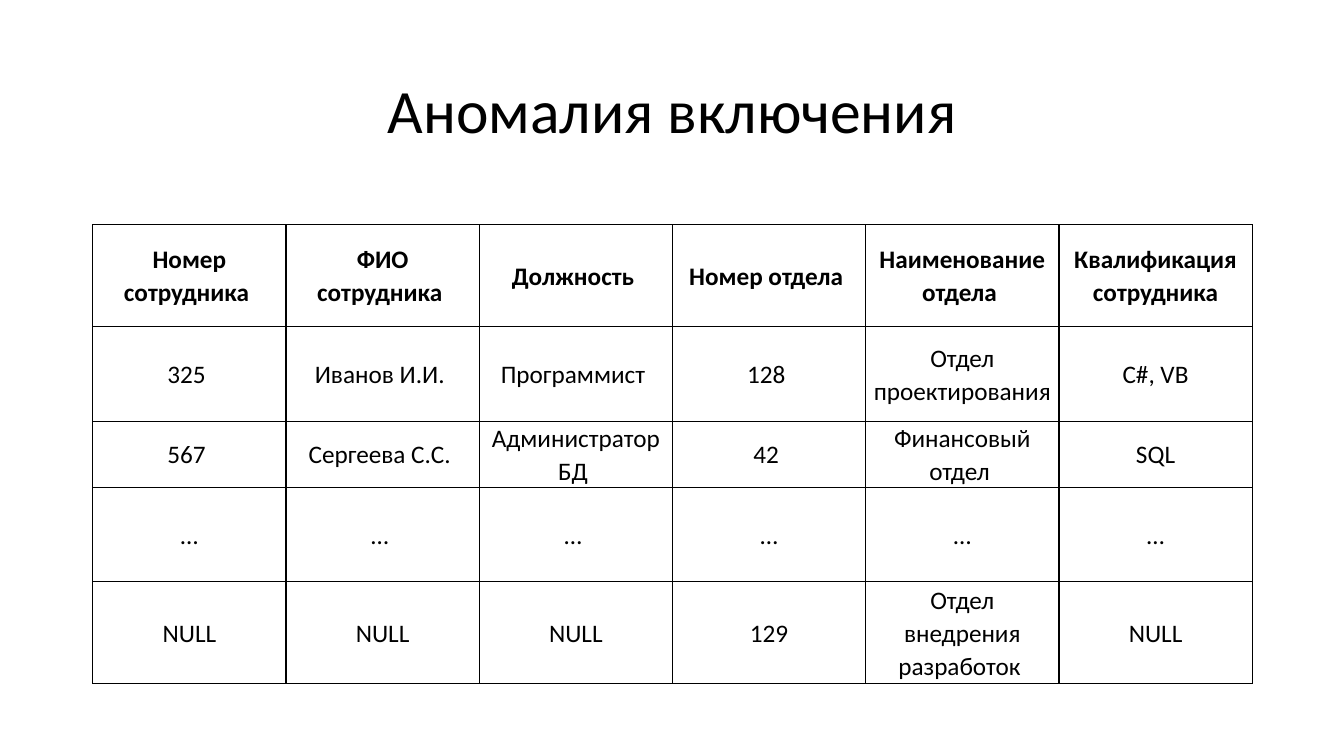
from lxml import etree
from pptx import Presentation
from pptx import util as u
from pptx.dml.color import RGBColor
from pptx.enum import text
from pptx.oxml import ns

COLORS = {"ink": "000000", "paper": "FFFFFF"}
FONT = "Calibri"

HEADERS = ["Номер сотрудника ", "ФИО сотрудника ", "Должность ",
           "Номер отдела ", "Наименование отдела ", "Квалификация сотрудника"]
EMPLOYEES = [
    ["325 ", "Иванов И.И. ", "Программист ", "128 ", "Отдел проектирования ", "C#, VB"],
    ["567 ", "Сергеева С.С. ", "Администратор БД ", "42 ", "Финансовый отдел ", "SQL"],
    ["…", "… ", "… ", "…", "…", "…"],
    ["NULL", "NULL", "NULL", "129", "Отдел внедрения разработок ", "NULL"],
]
ROW_HEIGHTS = [1.01, 0.94, 0.62, 0.94, 1.01]


def write_centered(frame, words, size, spacing, bold=False):
    para = frame.paragraphs[0]
    para.alignment = text.PP_ALIGN.CENTER
    para.line_spacing = spacing
    span = para.add_run()
    span.text = words
    span.font.name = FONT
    span.font.size = u.Pt(size)
    span.font.bold = bold
    span.font.color.rgb = RGBColor.from_string(COLORS["ink"])
    return para


def add_borders(cell):
    properties = cell._tc.get_or_add_tcPr()
    for side in ("lnL", "lnR", "lnT", "lnB"):
        line = etree.SubElement(properties, ns.qn("a:" + side), w=str(u.Pt(1)))
        fill = etree.SubElement(line, ns.qn("a:solidFill"))
        etree.SubElement(fill, ns.qn("a:srgbClr"), val=COLORS["ink"])


def format_cell(cell, words, bold):
    cell.vertical_anchor = text.MSO_ANCHOR.MIDDLE
    cell.margin_left = cell.margin_right = u.Inches(0.07)
    cell.margin_top = cell.margin_bottom = 0
    para = write_centered(cell.text_frame, words, 18, 1.07, bold)
    para.space_after = u.Pt(8)
    add_borders(cell)
    cell.fill.solid()
    cell.fill.fore_color.rgb = RGBColor.from_string(COLORS["paper"])


def place_title(page, box, words):
    title = page.shapes.title
    title.left, title.top, title.width, title.height = map(u.Inches, box)
    frame = title.text_frame
    frame.word_wrap = True
    frame.auto_size = text.MSO_AUTO_SIZE.NONE
    frame.vertical_anchor = text.MSO_ANCHOR.MIDDLE
    write_centered(frame, words, 44, 0.9)


def place_employee_table(page, box):
    rows = [HEADERS] + EMPLOYEES
    table = page.shapes.add_table(len(rows), len(HEADERS), *map(u.Inches, box)).table
    table.horz_banding = False
    for column in table.columns:
        column.width = u.Inches(box[2] / len(HEADERS))
    for r, (row, height) in enumerate(zip(rows, ROW_HEIGHTS)):
        table.rows[r].height = u.Inches(height)
        for c, words in enumerate(row):
            format_cell(table.cell(r, c), words, bold=r == 0)


deck = Presentation()
deck.slide_width, deck.slide_height = u.Inches(13.33), u.Inches(7.5)
page = deck.slides.add_slide(deck.slide_layouts.get_by_name("Title Only"))

# Heading
place_title(page, (0.92, 0.4, 11.5, 1.45), "Аномалия включения")
# Employees and departments
place_employee_table(page, (0.92, 2.23, 11.5, sum(ROW_HEIGHTS)))

deck.save("out.pptx")
